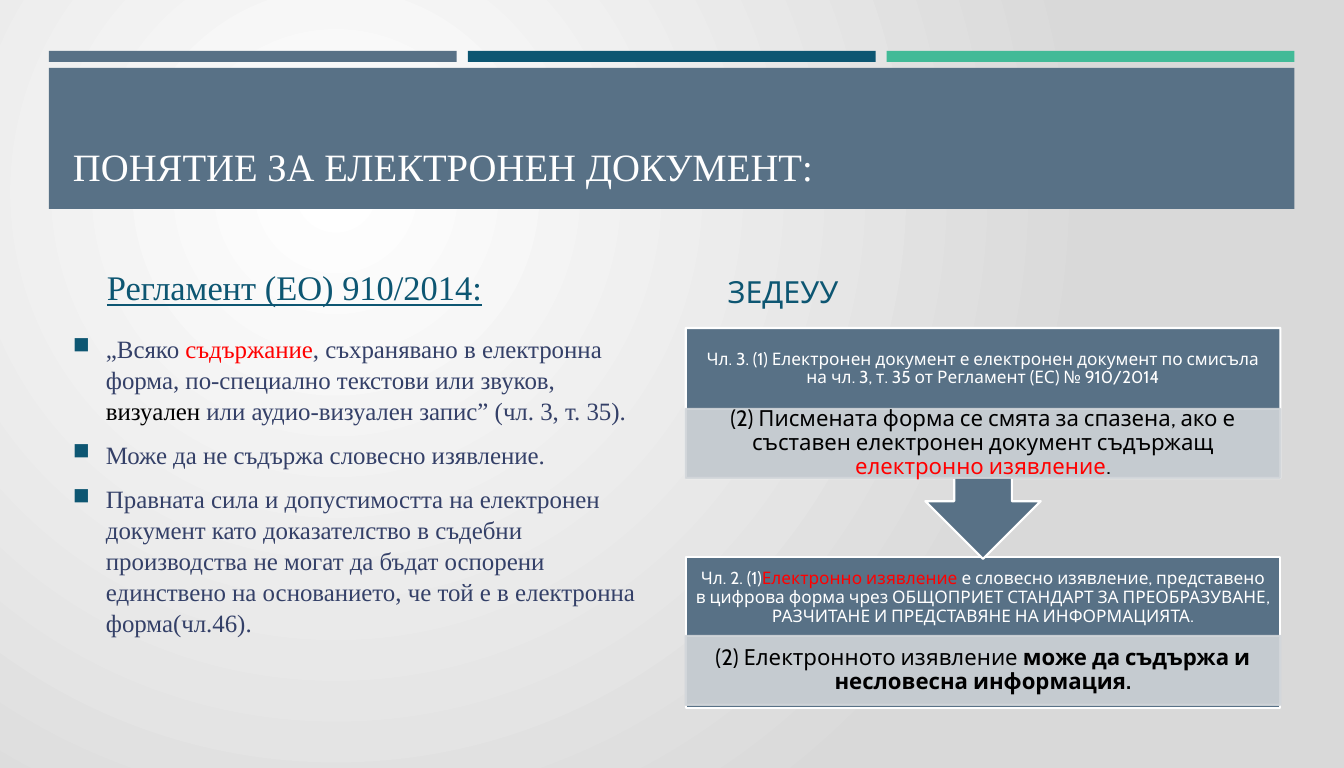
"""Builds a slide on the notion of an electronic document in two legal acts."""
import lxml.etree
import pptx
import pptx.dml.color
import pptx.enum.shapes
import pptx.enum.text
import pptx.oxml.ns
import pptx.util

SCALE = 914400 / 88.7
COLORS = {
    "slate": "587186", "teal": "0D5672", "green": "42BA97", "navy": "344068",
    "red": "FF0000", "white": "FFFFFF", "black": "000000", "band": "D1D5D9",
    "edge": "D9D9D9",
}
SERIF, SANS = "Times New Roman", "Cabin"
SHAPES = pptx.enum.shapes.MSO_SHAPE
ANCHOR = pptx.enum.text.MSO_ANCHOR
ALIGN = pptx.enum.text.PP_ALIGN
qn = pptx.oxml.ns.qn


def color(name):
    return pptx.dml.color.RGBColor.from_string(COLORS[name])


def write_text(shape, paragraphs, size, font, anchor=ANCHOR.TOP, align=ALIGN.LEFT,
               margins=(9, 4), spacing=1.0, gap=0, bullet=False, underline=None):
    frame = shape.text_frame
    frame.word_wrap = True
    frame.auto_size = pptx.enum.text.MSO_AUTO_SIZE.NONE
    frame.vertical_anchor = anchor
    frame.margin_left = frame.margin_right = round(margins[0] * SCALE)
    frame.margin_top = frame.margin_bottom = round(margins[1] * SCALE)
    for index, runs in enumerate(paragraphs):
        paragraph = frame.add_paragraph() if index else frame.paragraphs[0]
        if bullet:
            properties = paragraph._p.get_or_add_pPr()
            properties.set("marL", str(round(33 * SCALE)))
            properties.set("indent", str(round(-33 * SCALE)))
            bullet_color = lxml.etree.SubElement(properties, qn("a:buClr"))
            lxml.etree.SubElement(bullet_color, qn("a:srgbClr"), val=COLORS["teal"])
            lxml.etree.SubElement(properties, qn("a:buSzPct"), val="92000")
            lxml.etree.SubElement(properties, qn("a:buChar"), char="■")
        paragraph.alignment = align
        paragraph.line_spacing = spacing
        paragraph.space_before = pptx.util.Pt(gap if index else 0)
        for text, color_name, *bold in runs:
            run = paragraph.add_run()
            run.text = text
            run.font.size = pptx.util.Pt(size)
            run.font.name = font
            run.font.bold = bool(bold)
            run.font.underline = underline
            run.font.color.rgb = color(color_name)


def add_box(kind, left, top, width, height, fill, line=None, alpha=None):
    shape = slide.shapes.add_shape(
        kind, *(round(length * SCALE) for length in (left, top, width, height)))
    shape.shadow.inherit = False
    shape.fill.solid()
    shape.fill.fore_color.rgb = color(fill)
    if line:
        shape.line.color.rgb = color(line)
        shape.line.width = pptx.util.Pt(1.75)
    else:
        shape.line.fill.background()
    if alpha:
        for tint in shape.element.spPr.iter(qn("a:srgbClr")):
            lxml.etree.SubElement(tint, qn("a:alpha"), val=str(alpha * 1000))
    return shape


presentation = pptx.Presentation()
presentation.slide_width = pptx.util.Inches(15.16)
presentation.slide_height = pptx.util.Inches(8.66)
slide = presentation.slides.add_slide(presentation.slide_layouts[5])

background = slide.background.fill
background.gradient()
for stop, name in zip(background.gradient_stops, ("white", "edge")):
    stop.color.rgb = color(name)
gradient = slide.element.find(".//" + qn("a:gradFill"))
gradient.remove(gradient.find(qn("a:lin")))
circle = lxml.etree.SubElement(gradient, qn("a:path"), attrib={"path": "circle"})
lxml.etree.SubElement(circle, qn("a:fillToRect"),
                      l="50000", t="50000", r="100000", b="100000")

for index, name in enumerate(("slate", "teal", "green")):
    add_box(SHAPES.RECTANGLE, 49 + 419 * index, 51, 408, 11, name)
add_box(SHAPES.RECTANGLE, 49, 68, 1246, 141, "slate")

title = slide.shapes.title
title.left, title.top, title.width, title.height = (
    round(length * SCALE) for length in (64, 82, 1216, 111))
write_text(title, [[("ПОНЯТИЕ ЗА ЕЛЕКТРОНЕН ДОКУМЕНТ:", "white")]], 31.4, SERIF,
           anchor=ANCHOR.BOTTOM)
slide.shapes.element.append(title.element)

regulation = [
    [("„Всяко ", "navy"), ("съдържание", "red"),
     (", съхранявано в електронна форма, по-специално текстови или звуков, ", "navy"),
     ("визуален ", "black"), ("или аудио-визуален запис” (чл. 3, т. 35).", "navy")],
    [("Може да не съдържа словесно изявление.", "navy")],
    [("Правната сила и допустимостта на електронен документ като доказателство "
      "в съдебни производства не могат да бъдат оспорени единствено на основанието, "
      "че той е в електронна форма(чл.46).", "navy")],
]
article_3 = [("Чл. 3. (1) Електронен документ е електронен документ по смисъла "
              "на чл. 3, т. 35 от Регламент (ЕС) № 910/2014", "white")]
article_3_second = [
    ("(2) Писмената форма се смята за спазена, ако е съставен електронен документ "
     "съдържащ ", "black"), ("електронно изявление", "red"), (".", "black")]
article_2 = [
    ("Чл. 2. (1)", "white"), ("Електронно изявление ", "red"),
    ("е словесно изявление, представено в цифрова форма чрез ОБЩОПРИЕТ СТАНДАРТ "
     "ЗА ПРЕОБРАЗУВАНЕ, РАЗЧИТАНЕ И ПРЕДСТАВЯНЕ НА ИНФОРМАЦИЯТА.", "white")]
article_2_second = [("(2) Електронното изявление ", "black"),
                    ("може да съдържа и несловесна информация.", "black", True)]

centred = dict(anchor=ANCHOR.MIDDLE, align=ALIGN.CENTER, spacing=0.9)
articles = [
    (SHAPES.RECTANGLE, 557, 151, 0, article_2, 636, article_2_second),
    (SHAPES.UP_ARROW_CALLOUT, 328, 231, 180, article_3, 409, article_3_second),
]
text_boxes = [
    ((98, 252, 561, 60), [[("Регламент (ЕО) 910/2014:", "teal")]],
     dict(size=28, font=SERIF, anchor=ANCHOR.BOTTOM, underline=True)),
    ((64, 328, 595, 329), regulation,
     dict(size=20.2, font=SERIF, spacing=1.04, gap=10.7, bullet=True)),
    ((719, 252, 561, 62), [[("ЗЕДЕУУ", "teal")]],
     dict(size=24.7, font=SANS, anchor=ANCHOR.BOTTOM)),
]
for kind, top, height, rotation, first, band_top, second in articles:
    panel = add_box(kind, 686, top, 595, height, "slate", "white")
    panel.rotation = rotation
    band = add_box(SHAPES.RECTANGLE, 686, band_top, 595, 69, "band", "band", 90)
    write_text(band, [second], 18, SANS, margins=(12, 3), **centred)
    text_boxes.append(((686, top, 595, 82), [first],
                       dict(size=14, font=SANS, margins=(10, 10), **centred)))

for place, paragraphs, text_format in text_boxes:
    text_box = slide.shapes.add_textbox(*(round(length * SCALE) for length in place))
    write_text(text_box, paragraphs, **text_format)

presentation.save("out.pptx")
